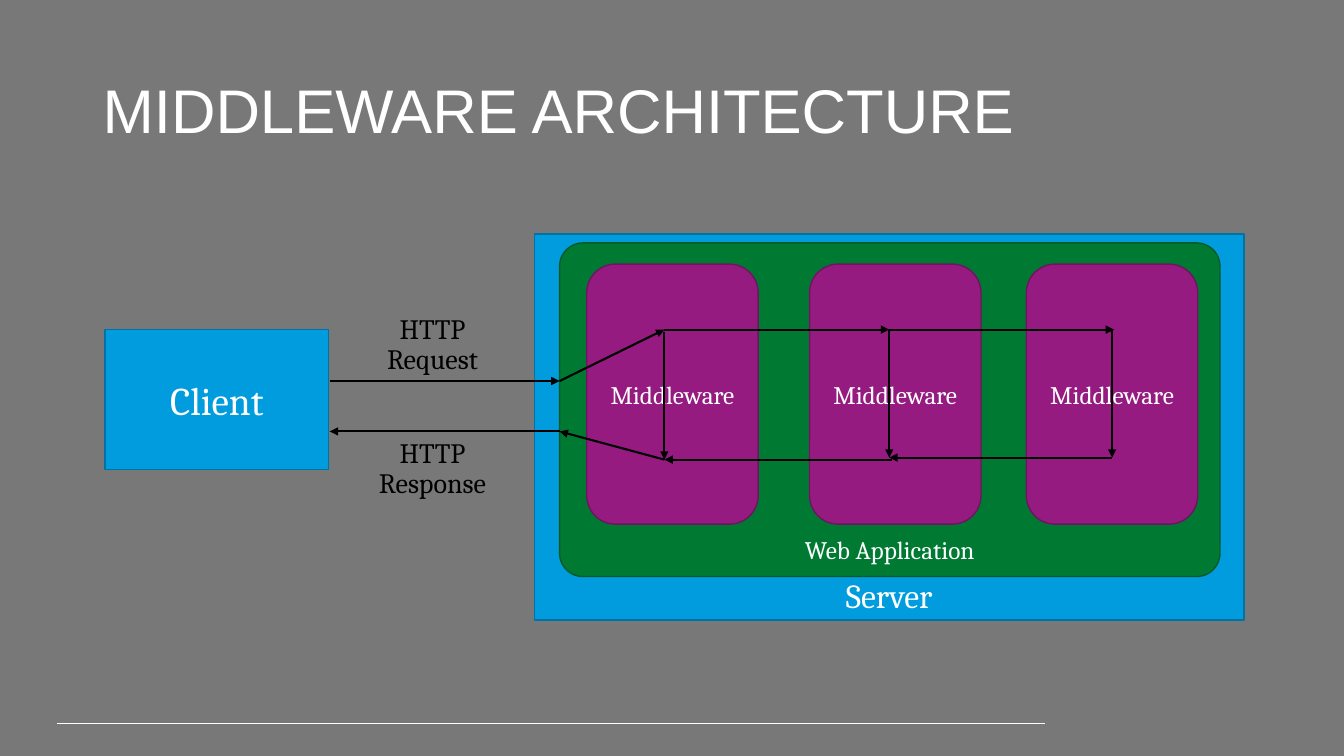
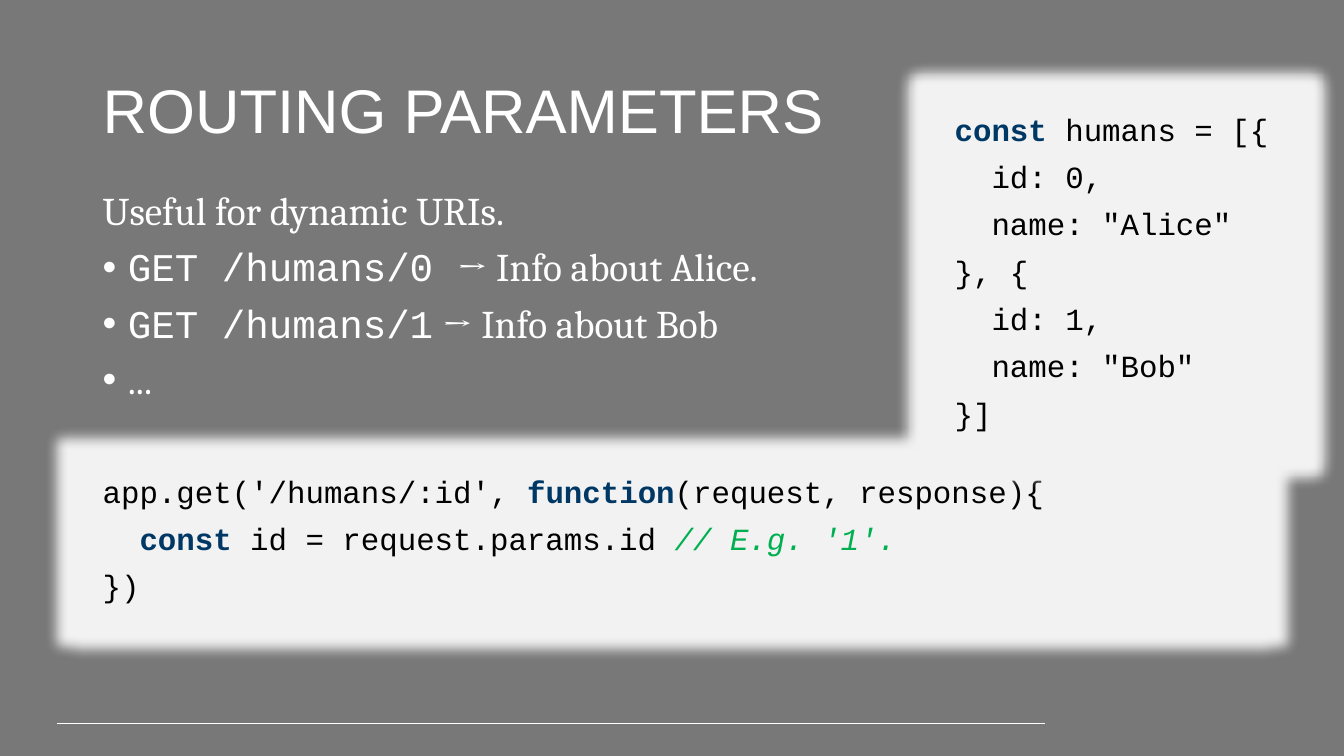
"""Builds two slides on web middleware and routing parameters."""
from lxml.etree import SubElement
from pptx import Presentation
from pptx.dml.color import RGBColor
from pptx.enum.shapes import MSO_CONNECTOR as Connector, MSO_SHAPE as Shape
from pptx.enum.text import MSO_ANCHOR as Anchor, PP_ALIGN as Align
from pptx.oxml.ns import qn
from pptx.util import Inches, Pt

COLORS = {
    "background": "787878", "white": "FFFFFF", "black": "000000",
    "blue": "009CDE", "blue edge": "0073A4",
    "green": "007A33", "green edge": "005A26",
    "purple": "961B81", "purple edge": "6F145F",
    "panel": "F2F2F2", "keyword": "003865", "comment": "00B050",
}


class Slides:
    BODY, CODE, TITLE = "Cambria", "Courier New", "Arial"

    def __init__(self):
        self.deck = Presentation()
        self.deck.slide_width = Inches(13.33)
        self.deck.slide_height = Inches(7.5)
        self.paint(self.deck.slide_master.background.fill, "background")
        self.page = None

    def paint(self, fill, color):
        fill.solid()
        fill.fore_color.rgb = RGBColor.from_string(COLORS[color])

    def add_page(self, title):
        self.page = self.deck.slides.add_slide(self.deck.slide_layouts[6])
        self.line((0.57, 7.18), (10.36, 7.18), "white", 0.75)
        box = self.text_box(0.92, 0.4, 11.5, 1.45)
        box.text_frame.vertical_anchor = Anchor.MIDDLE
        self.put_text(box, title, 44, font=self.TITLE, spacing=0.9)

    def style(self, span, size, font, color, bold=False, italic=False):
        span.font.size = Pt(size)
        span.font.name = font
        span.font.bold = bold
        span.font.italic = italic
        span.font.color.rgb = RGBColor.from_string(COLORS[color])

    def put_text(self, box, text, size, font=BODY, color="white",
                 align=Align.LEFT, spacing=1.0):
        box.text_frame.text = text
        para = box.text_frame.paragraphs[0]
        para.alignment = align
        para.line_spacing = spacing
        self.style(para.runs[0], size, font, color)

    def put_spans(self, para, spans, size):
        for text, look in spans:
            span = para.add_run()
            span.text = text
            self.style(span, size, **look)

    def text_box(self, left, top, width, height):
        box = self.page.shapes.add_textbox(
            Inches(left), Inches(top), Inches(width), Inches(height))
        box.text_frame.word_wrap = True
        return box

    def shape(self, kind, left, top, width, height, color, edge=None):
        box = self.page.shapes.add_shape(
            kind, Inches(left), Inches(top), Inches(width), Inches(height))
        box.shadow.inherit = False
        self.paint(box.fill, color)
        if edge:
            self.paint(box.line.fill, edge)
            box.line.width = Pt(1)
        else:
            box.line.fill.background()
        return box

    def block(self, kind, place, color, label, size, anchor=Anchor.MIDDLE):
        box = self.shape(kind, *place, color, color + " edge")
        box.text_frame.vertical_anchor = anchor
        self.put_text(box, label, size, align=Align.CENTER)
        return box

    def label(self, left, top, text):
        box = self.text_box(left, top, 1.72, 0.71)
        self.put_text(box, text, 20, color="black", align=Align.CENTER, spacing=0.9)

    def line(self, start, end, color, width):
        line = self.page.shapes.add_connector(
            Connector.STRAIGHT, *(Inches(value) for value in start + end))
        self.paint(line.line.fill, color)
        line.line.width = Pt(width)
        SubElement(line.element.spPr, qn("a:effectLst"))
        return line

    def arrow(self, start, end):
        line = self.line(start, end, "black", 1.5)
        outline = line.element.spPr.find(qn("a:ln"))
        SubElement(outline, qn("a:tailEnd"), type="triangle")

    def code(self, left, top, width, height, lines):
        looks = {
            "plain": dict(font=self.CODE, color="black"),
            "keyword": dict(font=self.CODE, color="keyword", bold=True),
            "comment": dict(font=self.CODE, color="comment", italic=True),
        }
        box = self.shape(Shape.RECTANGLE, left, top, width, height, "panel")
        effects = box.element.spPr.find(qn("a:effectLst"))
        glow = SubElement(effects, qn("a:glow"), rad=str(Inches(0.25)))
        SubElement(glow, qn("a:srgbClr"), val=COLORS["panel"])
        frame = box.text_frame
        frame.vertical_anchor = Anchor.TOP
        for number, spans in enumerate(lines):
            para = frame.add_paragraph() if number else frame.paragraphs[0]
            para.alignment = Align.LEFT
            para.line_spacing = 0.9
            if number:
                para.space_before = Pt(10)
            self.put_spans(para, [(text, looks[look]) for text, look in spans], 22)

    def bullets(self, left, top, width, height, intro, items):
        box = self.text_box(left, top, width, height)
        self.put_text(box, intro, 28, spacing=0.9)
        for spans in items:
            para = box.text_frame.add_paragraph()
            para.line_spacing = 0.9
            para.space_before = Pt(10)
            props = para._p.get_or_add_pPr()
            props.set("marL", str(Inches(0.25)))
            props.set("indent", str(Inches(-0.25)))
            SubElement(props, qn("a:buFont"), typeface="Arial")
            SubElement(props, qn("a:buChar"), char="•")
            self.put_spans(para, [(text, dict(font=font, color="white"))
                                  for text, font in spans], 28)


def architecture(slides):
    slides.add_page("MIDDLEWARE ARCHITECTURE")
    slides.block(Shape.RECTANGLE, (5.3, 2.32, 7.04, 3.83), "blue",
                 "Server", 24, Anchor.BOTTOM)
    application = slides.block(Shape.ROUNDED_RECTANGLE, (5.55, 2.41, 6.55, 3.31),
                               "green", "Web Application", 18, Anchor.BOTTOM)
    application.adjustments[0] = 0.07
    slides.block(Shape.RECTANGLE, (1.04, 3.27, 2.22, 1.39), "blue", "Client", 28)
    for top, text in ((3.08, "HTTP Request"), (4.31, "HTTP Response")):
        slides.label(3.43, top, text)
    for left in (5.82, 8.03, 10.18):
        slides.block(Shape.ROUNDED_RECTANGLE, (left, 2.62, 1.7, 2.58),
                     "purple", "Middleware", 18)

    client, entry, exit_point = 3.27, (5.55, 3.78), (5.55, 4.28)
    first, second, third = 6.59, 8.82, 11.03
    upper, lower, last = 3.27, 4.54, 4.56
    for start, end in (
        ((client, entry[1]), entry),
        (exit_point, (client, exit_point[1])),
        (entry, (first, upper)),
        ((first, upper), (second, upper)),
        ((second, upper), (third + 0.02, upper)),
        ((third, upper), (third, lower)),
        ((third, lower), (second, lower)),
        ((second + 0.03, last), (first, last)),
        ((first, last), exit_point),
        ((first, upper + 0.02), (first, last)),
        ((second, upper), (second, lower)),
    ):
        slides.arrow(start, end)


def routing(slides):
    slides.add_page("ROUTING PARAMETERS")
    slides.code(0.92, 4.68, 11.5, 1.38, [
        [("app.get('/humans/:id', ", "plain"), ("function", "keyword"),
         ("(request, response){", "plain")],
        [("  ", "plain"), ("const", "keyword"),
         (" id = request.params.id ", "plain"), ("// E.g. '1'.", "comment")],
        [("})", "plain")],
    ])
    slides.bullets(0.92, 1.85, 7.62, 2.22, "Useful for dynamic URIs.", [
        [("GET /humans/0 ", slides.CODE), ("→ Info about Alice.", slides.BODY)],
        [("GET /humans/1", slides.CODE), (" → Info about Bob", slides.BODY)],
        [("...", slides.BODY)],
    ])
    rest = ("  id: 0,", '  name: "Alice"', "}, {", "  id: 1,", '  name: "Bob"', "}]")
    slides.code(9.37, 1.09, 3.4, 3.28, [
        [("const", "keyword"), (" humans = [{", "plain")],
        *([(text, "plain")] for text in rest),
    ])


def main():
    slides = Slides()
    architecture(slides)
    routing(slides)
    slides.deck.save("out.pptx")


if __name__ == "__main__":
    main()
